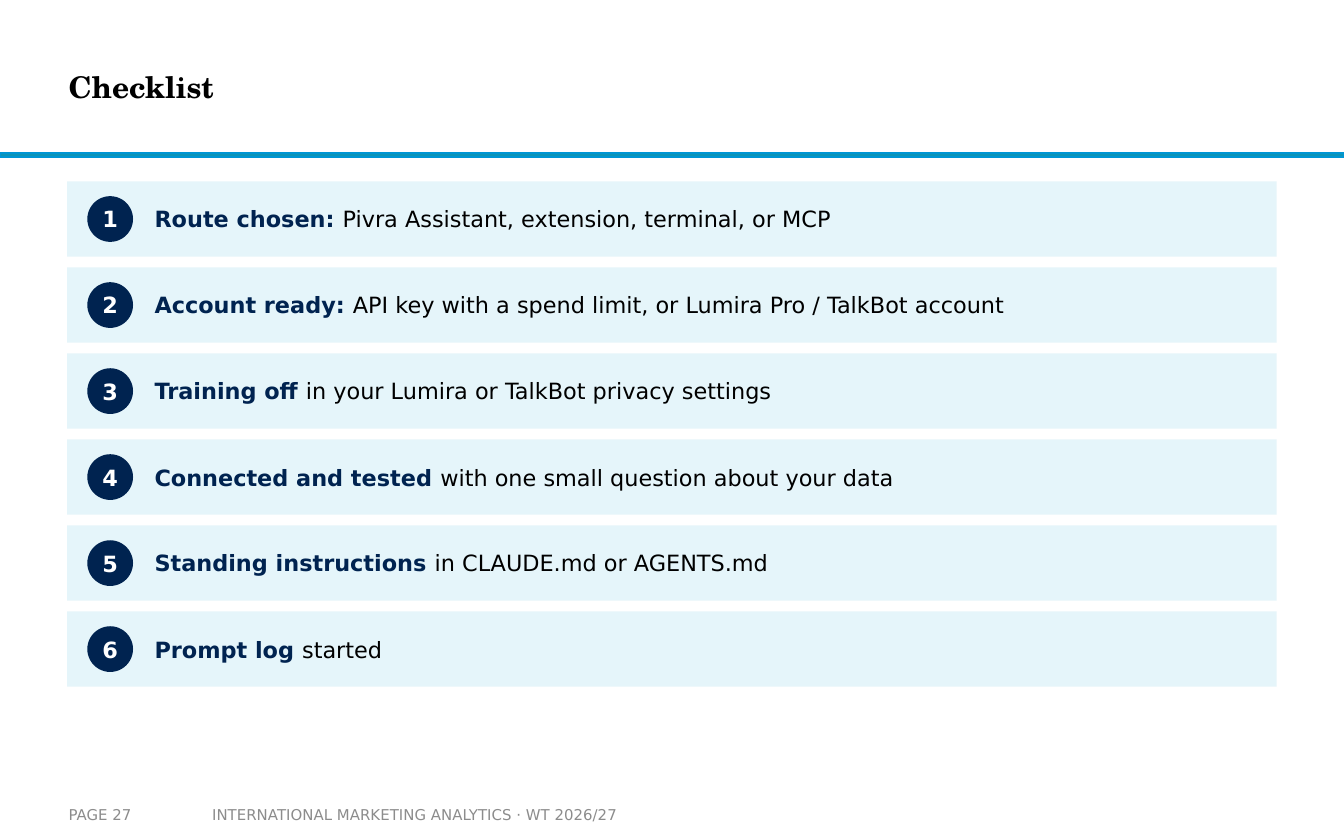
import pptx
import pptx.util
import pptx.dml.color
import pptx.enum.shapes
import pptx.enum.text

Inches, Pt = pptx.util.Inches, pptx.util.Pt
SHAPE = pptx.enum.shapes.MSO_SHAPE
ALIGN = pptx.enum.text.PP_ALIGN
MIDDLE = pptx.enum.text.MSO_ANCHOR.MIDDLE

COLORS = {"rule": "0C94B7", "rule_line": "0096D3", "band": "E5F5FA",
          "navy": "002350", "black": "000000", "white": "FFFFFF", "gray": "8C8C8C"}
COLORS = {name: pptx.dml.color.RGBColor.from_string(c) for name, c in COLORS.items()}
SANS, SERIF = "DejaVu Sans", "TeX Gyre Schola"


def add_filled(shape, x, y, w, h, color):
    sp = s.shapes.add_shape(shape, Inches(x), Inches(y), Inches(w), Inches(h))
    sp.shadow.inherit = False
    sp.fill.solid()
    sp.fill.fore_color.rgb = COLORS[color]
    sp.line.fill.background()
    return sp


def set_frame(sp, size, color, font=SANS, side=0, top=0):
    """Set margins, middle anchor and font; return the first paragraph."""
    tf = sp.text_frame
    tf.word_wrap = True
    tf.auto_size = pptx.enum.text.MSO_AUTO_SIZE.NONE
    tf.vertical_anchor = MIDDLE
    tf.margin_left = tf.margin_right = Inches(side)
    tf.margin_top = tf.margin_bottom = Inches(top)
    p = tf.paragraphs[0]
    p.alignment = ALIGN.LEFT
    p.font.name, p.font.size = font, Pt(size)
    p.font.color.rgb = COLORS[color]
    return p


prs = pptx.Presentation()
prs.slide_width, prs.slide_height = Inches(10), Inches(6.25)
s = prs.slides.add_slide(prs.slide_layouts[5])

# Header
rule = add_filled(SHAPE.RECTANGLE, 0, 1.14, 10, 0.03, "rule")
rule.line.color.rgb = COLORS["rule_line"]
rule.line.width = Pt(1)

title = s.shapes.title
title.left, title.top = Inches(0.51), Inches(0.15)
title.width, title.height = Inches(7.48), Inches(0.99)
title.text_frame.text = "Checklist"
p = set_frame(title, 16, "black", SERIF)
p.font.bold = True

# Footer
for text, x, w, side in [
    ("INTERNATIONAL MARKETING ANALYTICS · WT 2026/27", 1.48, 3.52, 0.1),
    ("PAGE 27", 0.51, 0.98, 0),
]:
    sp = s.shapes.add_textbox(Inches(x), Inches(5.92), Inches(w), Inches(0.28))
    p = set_frame(sp, 8, "gray", side=side, top=0.05)
    p.add_run().text = text

# Checklist rows
items = [
    ("Route chosen: ", "Pivra Assistant, extension, terminal, or MCP"),
    ("Account ready: ", "API key with a spend limit, or Lumira Pro / TalkBot account"),
    ("Training off ", "in your Lumira or TalkBot privacy settings"),
    ("Connected and tested ", "with one small question about your data"),
    ("Standing instructions ", "in CLAUDE.md or AGENTS.md"),
    ("Prompt log ", "started"),
]
ROW_TOP, ROW_HEIGHT, ROW_STEP, BADGE = 1.35, 0.56, 0.64, 0.34

for i, (lead, rest) in enumerate(items):
    y = ROW_TOP + i * ROW_STEP
    add_filled(SHAPE.RECTANGLE, 0.5, y, 9, ROW_HEIGHT, "band")

    badge = add_filled(SHAPE.OVAL, 0.65, y + (ROW_HEIGHT - BADGE) / 2, BADGE, BADGE, "navy")
    p = set_frame(badge, 12, "white")
    p.alignment = ALIGN.CENTER
    p.font.bold = True
    p.add_run().text = str(i + 1)

    sp = s.shapes.add_textbox(Inches(1.15), Inches(y), Inches(8.2), Inches(ROW_HEIGHT))
    p = set_frame(sp, 12, "black")
    p.space_after = Pt(4)
    r = p.add_run()
    r.text = lead
    r.font.bold = True
    r.font.color.rgb = COLORS["navy"]
    p.add_run().text = rest

prs.save("out.pptx")
